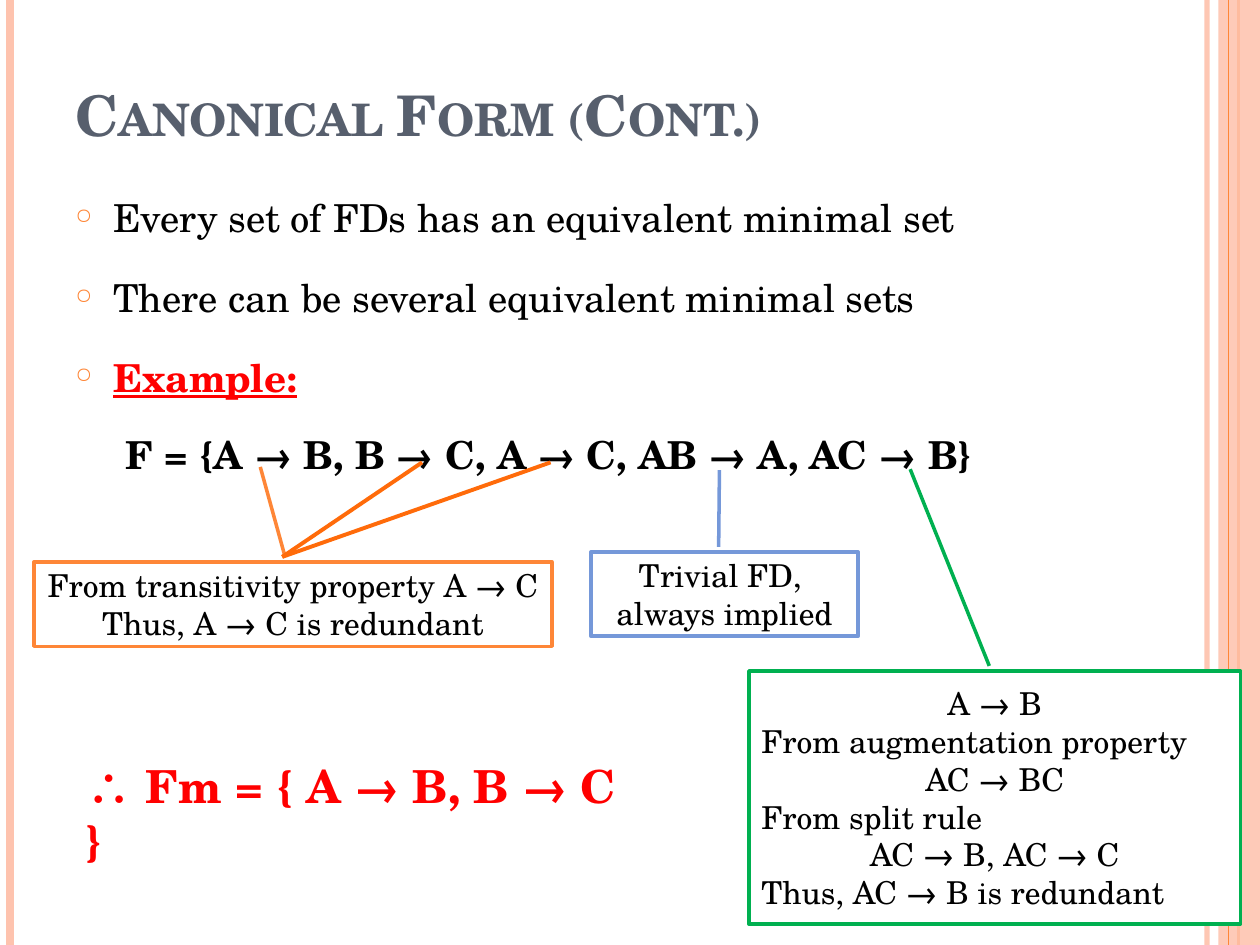
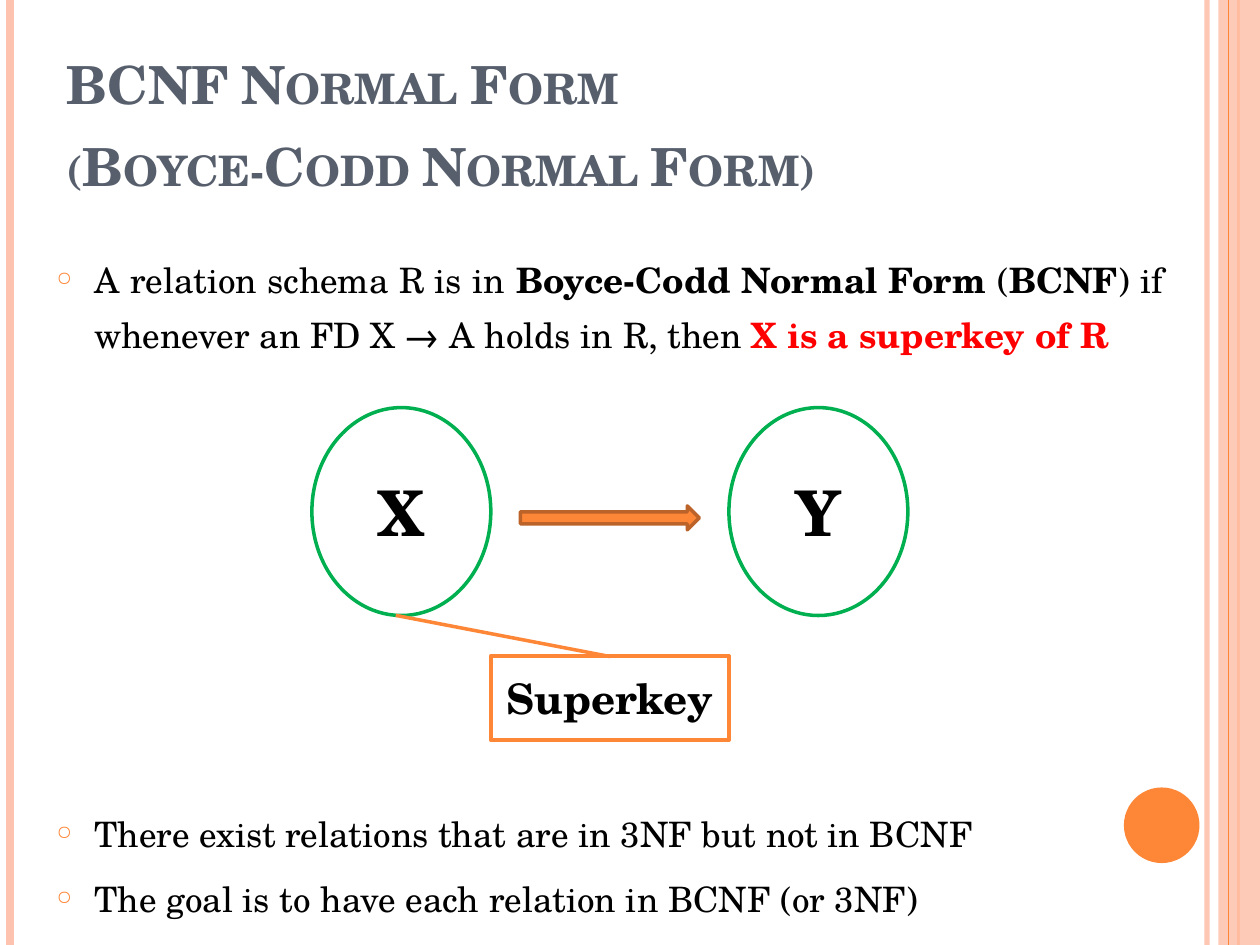
from dataclasses import dataclass

from lxml.etree import SubElement
from pptx import Presentation
from pptx.dml.color import RGBColor
from pptx.enum.shapes import MSO_CONNECTOR, MSO_SHAPE
from pptx.enum.text import MSO_ANCHOR, PP_ALIGN
from pptx.oxml.ns import qn
from pptx.util import Inches, Pt


@dataclass(frozen=True)
class Theme:
    font: str = "TeX Gyre Schola"
    white: str = "FFFFFF"
    black: str = "000000"
    slate: str = "575F6D"
    peach: str = "FEC3AE"
    orange: str = "FE8637"
    rust: str = "BC6329"
    flame: str = "FF6B0A"
    blue: str = "7598D9"
    green: str = "00B050"
    red: str = "FF0000"
    note: int = 18
    small: int = 20
    text: int = 22
    key: int = 24
    sum: int = 26
    head: int = 30
    top: int = 32
    disc: int = 36


T = Theme()
deck = Presentation()
deck.slide_width, deck.slide_height = Inches(10), Inches(7.5)
COL, ROW = deck.slide_width / 100, deck.slide_height / 75
blank = deck.slide_layouts[6]
MID, JUST = PP_ALIGN.CENTER, PP_ALIGN.JUSTIFY
CALL = MSO_SHAPE.LINE_CALLOUT_1


def draw(slide, kind, box, fill=None, line=None, width=2, alpha=None, adj=()):
    """Add a text box, line or shape; box is in columns and rows."""
    area = [round(n * unit) for n, unit in zip(box, (COL, ROW, COL, ROW))]
    if kind == "text":
        return slide.shapes.add_textbox(*area)
    if kind == "line":
        item = slide.shapes.add_connector(MSO_CONNECTOR.STRAIGHT, *area)
    else:
        item = slide.shapes.add_shape(kind, *area)
        item.shadow.inherit = False
        item.fill.solid()
        item.fill.fore_color.rgb = RGBColor.from_string(fill)
    for spot, share in enumerate(adj):
        item.adjustments[spot] = share
    if line:
        item.line.color.rgb = RGBColor.from_string(line)
        item.line.width = Pt(width)
    else:
        item.line.fill.background()
    if kind == "line":
        SubElement(item.element.spPr, qn("a:effectLst"))
    if alpha:
        tint = next(item.element.spPr.iter(qn("a:srgbClr")))
        SubElement(tint, qn("a:alpha"), val=str(alpha * 1000))
    return item


def write(shape, size, paras, anchor=MSO_ANCHOR.MIDDLE, **base):
    """Fill a shape with (format, runs) pairs; each run is (text, format)."""
    frame = shape.text_frame
    frame.word_wrap, frame.vertical_anchor = True, anchor
    for spot, (form, runs) in enumerate(paras):
        para = frame.paragraphs[0] if spot == 0 else frame.add_paragraph()
        form = dict(form)
        margin, hang = form.pop("indent", (0, 0))
        for name, value in form.items():
            setattr(para, name, value)
        props = para._p.get_or_add_pPr()
        props.set("marL", str(Inches(margin)))
        props.set("indent", str(Inches(hang)))
        if hang < 0:
            tint = SubElement(props, qn("a:buClr"))
            SubElement(tint, qn("a:srgbClr"), val=T.orange)
            SubElement(props, qn("a:buSzPct"), val="56000")
            SubElement(props, qn("a:buChar"), char="○")
        for text, look in runs:
            if text == "\n":
                para.add_line_break()
                continue
            run = para.add_run()
            run.text = text
            look = {"name": T.font, "size": Pt(size), "rgb": T.black} | base | look
            run.font.color.rgb = RGBColor.from_string(look.pop("rgb"))
            if "cap" in look:
                run.font._element.set("cap", look.pop("cap"))
            for name, value in look.items():
                setattr(run.font, name, value)


BOLD = {"bold": True}
RED = {"bold": True, "rgb": T.red}
TITLE = {"anchor": MSO_ANCHOR.BOTTOM, "bold": True, "rgb": T.slate, "cap": "small"}
POINT = {"alignment": JUST, "space_before": Pt(6), "indent": (0.3, -0.3)}

one = deck.slides.add_slide(blank)
two = deck.slides.add_slide(blank)

# Shared bands, drawn once and moved to the layout
bands = [(95.8, T.peach, 3, 93), (0.83, T.peach, 4.5, None),
         (98.3, T.orange, 1.5, None), (97.5, T.orange, 0.75, None)]
parts = [draw(one, "line", (x, 0, x, 75), line=tint, width=wide, alpha=alpha)
         for x, tint, wide, alpha in bands]
side = draw(one, MSO_SHAPE.RECTANGLE, (96.7, 0, 3.3, 75), T.peach, alpha=87)
dot = draw(one, MSO_SHAPE.OVAL, (89.2, 62.5, 6, 6), T.orange)
for part in parts[:3] + [side, parts[3], dot]:
    blank.shapes.element.append(part.element)

# Slide 1: title and points
write(draw(one, "text", (5, -0.3, 81.7, 12.5)), T.top,
      [({}, [("Canonical Form (Cont.)", {})])], **TITLE)
wide = POINT | {"line_spacing": 1.5}
rule = wide | {"space_before": Pt(4.4), "indent": (0.4, 0)}
write(draw(one, "text", (5, 13.1, 89.1, 55.3)), T.text, [
    (wide, [("Every set of FDs has an equivalent minimal set", {})]),
    (wide, [("There can be several equivalent minimal sets", {})]),
    (wide, [("Example:", RED | {"underline": True})]),
    (rule, [("F = {A → B, B → C, A → C, AB → A, AC → B}", BOLD)]),
], MSO_ANCHOR.TOP)

# Slide 1: notes on the redundant rules
notes = [
    ((2.7, 44.6, 41.1, 6.7), T.orange, (-0.058, 0.485, -1.125, 0.437),
     [(MID, "From transitivity property A → C"),
      (MID, "Thus, A → C is redundant")]),
    ((46.9, 43.8, 21.2, 6.7), T.blue, (-0.058, 0.478, -0.969, 0.481),
     [(MID, "Trivial FD, "), (MID, "always implied")]),
    ((59.45, 53.25, 39, 20.1), T.green, (-0.02, 0.489, -0.797, 0.328),
     [(MID, "A → B"), (JUST, "From augmentation property"),
      (MID, "AC → BC"), (JUST, "From split rule"),
      (MID, "AC → B, AC → C"), (JUST, "Thus, AC → B is redundant")]),
]
for box, tint, adj, rows in notes:
    write(draw(one, CALL, box, T.white, tint, adj=adj), T.note,
          [({"alignment": side}, [(text, {})]) for side, text in rows])
for x in (33.5, 43.7):
    draw(one, "line", (x, 36.7, 22.4, 44.2), line=T.flame, width=2.25)

# Slide 1: result
write(draw(one, "text", (5.9, 59.7, 44.9, 5.4)), T.sum,
      [({}, [("∴ Fm = { A → B, B → C }", RED)])], MSO_ANCHOR.TOP)

# Slide 2: title and points
write(draw(two, "text", (4.3, 3.6, 92.2, 12.5)), T.head,
      [({"line_spacing": 1.3}, [("BCNF Normal Form ", {}), ("\n", {}),
                                ("(Boyce-Codd Normal Form)", {})])], **TITLE)
near = POINT | {"line_spacing": 1.3}
write(draw(two, "text", (3.5, 19.05, 89.8, 56.2)), T.small, [
    (near, [("A relation schema R is in ", {}),
            ("Boyce-Codd Normal Form ", BOLD), ("(", {}), ("BCNF", BOLD),
            (") if whenever an FD X → A holds in R, then ", {}),
            ("X is a superkey of R", RED)]),
    (near | {"space_before": Pt(254)},
     [("There exist relations that are in 3NF but not in BCNF", {})]),
    (near, [("The goal is to have each relation in BCNF (or 3NF)", {})]),
], MSO_ANCHOR.TOP)

# Slide 2: X determines Y
for x, name in ((57.85, "Y"), (24.75, "X")):
    write(draw(two, MSO_SHAPE.OVAL, (x, 32.35, 14.2, 16.5), T.white, T.green),
          T.disc, [({"alignment": MID}, [(name, BOLD)])])
draw(two, MSO_SHAPE.RIGHT_ARROW, (41.3, 40.15, 14.2, 1.9), T.orange, T.rust)
key = draw(two, CALL, (38.95, 52.05, 18.9, 6.7), T.white, T.orange,
           adj=(0.009, 0.501, -0.479, -0.399))
write(key, T.key, [({"alignment": MID}, [("Superkey", BOLD)])])

deck.save("out.pptx")
